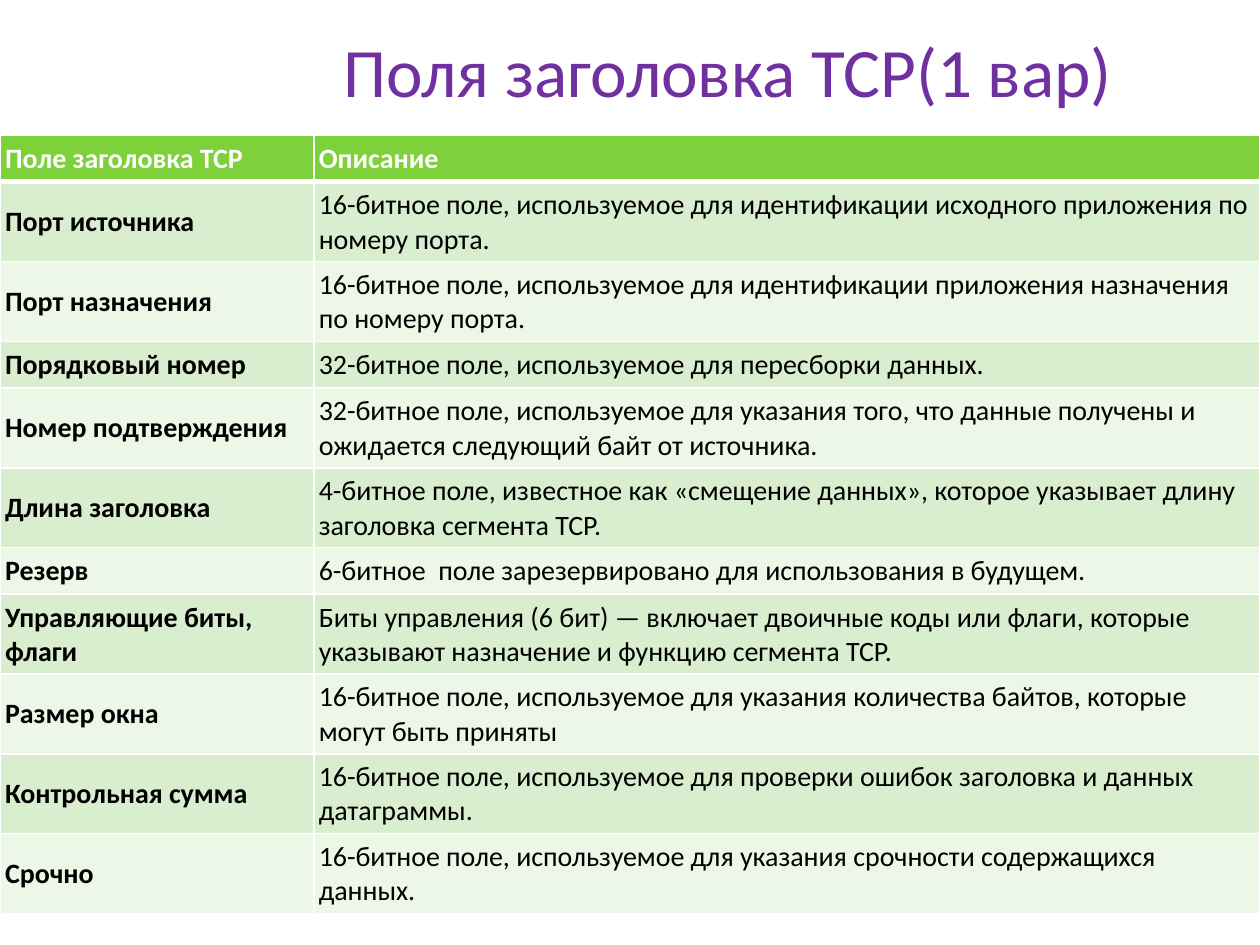
from dataclasses import dataclass

from lxml import etree
from pptx import Presentation
from pptx.dml.color import RGBColor
from pptx.enum import text
from pptx.oxml import ns
from pptx.util import Pt


@dataclass(frozen=True)
class Theme:
    font: str = "Calibri"
    title_size: float = 39.6
    table_size: float = 16
    title: str = "7030A0"
    header: str = "7FD13B"
    bands: tuple = ("D8EECE", "ECF7E8")
    light: str = "FFFFFF"
    dark: str = "000000"


HEADER = ("Поле заголовка TCP", "Описание")
FIELDS = [
    ("Порт источника",
     "16-битное поле, используемое для идентификации исходного приложения по номеру порта."),
    ("Порт назначения",
     "16-битное поле, используемое для идентификации приложения назначения по номеру порта."),
    ("Порядковый номер", "32-битное поле, используемое для пересборки данных."),
    ("Номер подтверждения",
     "32-битное поле, используемое для указания того, что данные получены "
     "и ожидается следующий байт от источника."),
    ("Длина заголовка",
     "4-битное поле, известное как «смещение данных», которое указывает длину "
     "заголовка сегмента TCP."),
    ("Резерв", "6-битное  поле зарезервировано для использования в будущем."),
    ("Управляющие биты, флаги",
     "Биты управления (6 бит) — включает двоичные коды или флаги, которые "
     "указывают назначение и функцию сегмента TCP."),
    ("Размер окна",
     "16-битное поле, используемое для указания количества байтов, которые могут быть приняты"),
    ("Контрольная сумма",
     "16-битное поле, используемое для проверки ошибок заголовка и данных датаграммы."),
    ("Срочно",
     "16-битное поле, используемое для указания срочности содержащихся данных."),
]
COLUMN_WIDTHS = (179.3, 540.7)
ONE_LINE, TWO_LINES = 26.6, 44
LINE_LENGTH = 65  # longest description, in characters, that fits one line


class SlideBuilder:
    def __init__(self, slide, theme):
        self.slide = slide
        self.theme = theme

    def add_run(self, paragraph, content, size, color, bold=False):
        run = paragraph.add_run()
        run.text = content
        run.font.name = self.theme.font
        run.font.size = Pt(size)
        run.font.bold = bold
        run.font.color.rgb = RGBColor.from_string(color)

    def add_title(self, content, left, top, width, height):
        shape = self.slide.shapes.add_textbox(Pt(left), Pt(top), Pt(width), Pt(height))
        frame = shape.text_frame
        frame.word_wrap = True
        frame.vertical_anchor = text.MSO_ANCHOR.MIDDLE
        paragraph = frame.paragraphs[0]
        paragraph.alignment = text.PP_ALIGN.CENTER
        self.add_run(paragraph, content, self.theme.title_size, self.theme.title)

    def add_borders(self, cell, bottom):
        properties = cell._tc.get_or_add_tcPr()
        for side, width in (("L", 1), ("R", 1), ("T", 1), ("B", bottom)):
            line = etree.SubElement(properties, ns.qn(f"a:ln{side}"), w=str(Pt(width)))
            fill = etree.SubElement(line, ns.qn("a:solidFill"))
            etree.SubElement(fill, ns.qn("a:srgbClr"), val=self.theme.light)

    def fill_cell(self, cell, content, fill, color, bold, bottom=1):
        cell.margin_left = cell.margin_right = Pt(2.9)
        cell.margin_top = cell.margin_bottom = Pt(3.6)
        cell.vertical_anchor = text.MSO_ANCHOR.MIDDLE
        self.add_borders(cell, bottom)
        cell.fill.solid()
        cell.fill.fore_color.rgb = RGBColor.from_string(fill)
        self.add_run(cell.text_frame.paragraphs[0], content,
                     self.theme.table_size, color, bold)

    def add_field_table(self, header, fields, left, top, widths):
        theme = self.theme
        rows = [header, *fields]
        heights = [TWO_LINES if len(row[1]) > LINE_LENGTH else ONE_LINE for row in rows]
        table = self.slide.shapes.add_table(
            len(rows), len(widths), Pt(left), Pt(top),
            Pt(sum(widths)), Pt(sum(heights))).table
        for column, width in zip(table.columns, widths):
            column.width = Pt(width)
        for index, (row, height) in enumerate(zip(rows, heights)):
            table.rows[index].height = Pt(height)
            for column, content in enumerate(row):
                cell = table.cell(index, column)
                if index == 0:
                    self.fill_cell(cell, content, theme.header, theme.light, True, bottom=3)
                else:
                    band = theme.bands[(index - 1) % len(theme.bands)]
                    self.fill_cell(cell, content, band, theme.dark, column == 0)


def main():
    presentation = Presentation()
    presentation.slide_width, presentation.slide_height = Pt(720), Pt(540)
    slide = presentation.slides.add_slide(presentation.slide_layouts[6])
    builder = SlideBuilder(slide, Theme())

    # Title
    builder.add_title("Поля заголовка TCP(1 вар)", 152.6, 18.7, 526.3, 41.8)

    # Table of header fields
    builder.add_field_table(HEADER, FIELDS, 0, 77.3, COLUMN_WIDTHS)

    presentation.save("out.pptx")


if __name__ == "__main__":
    main()
